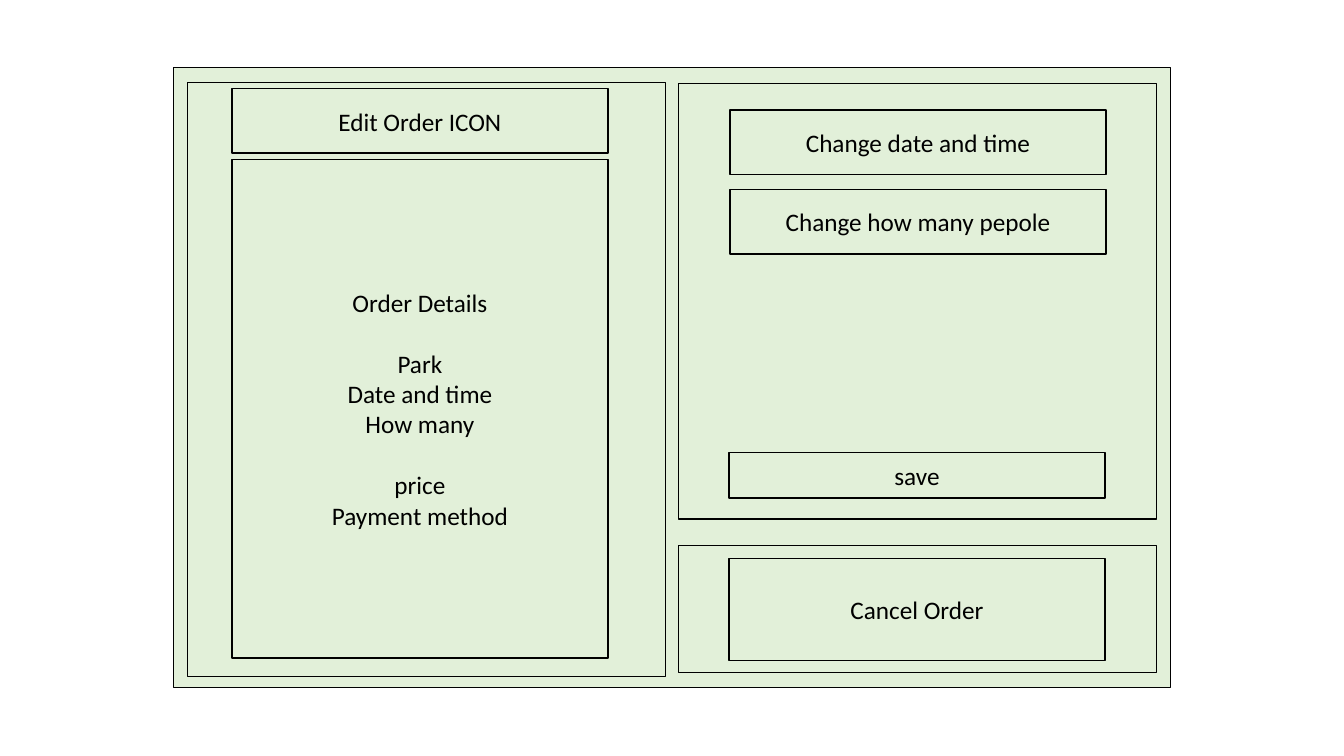
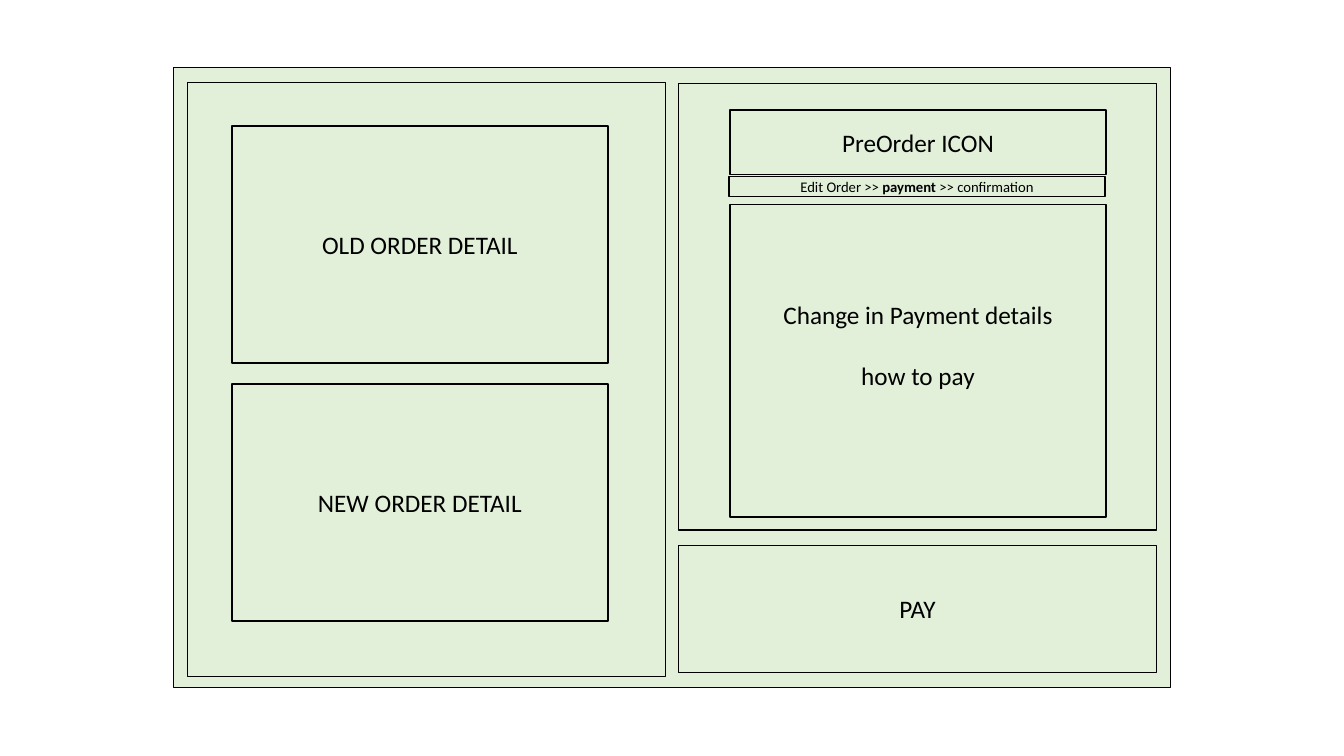
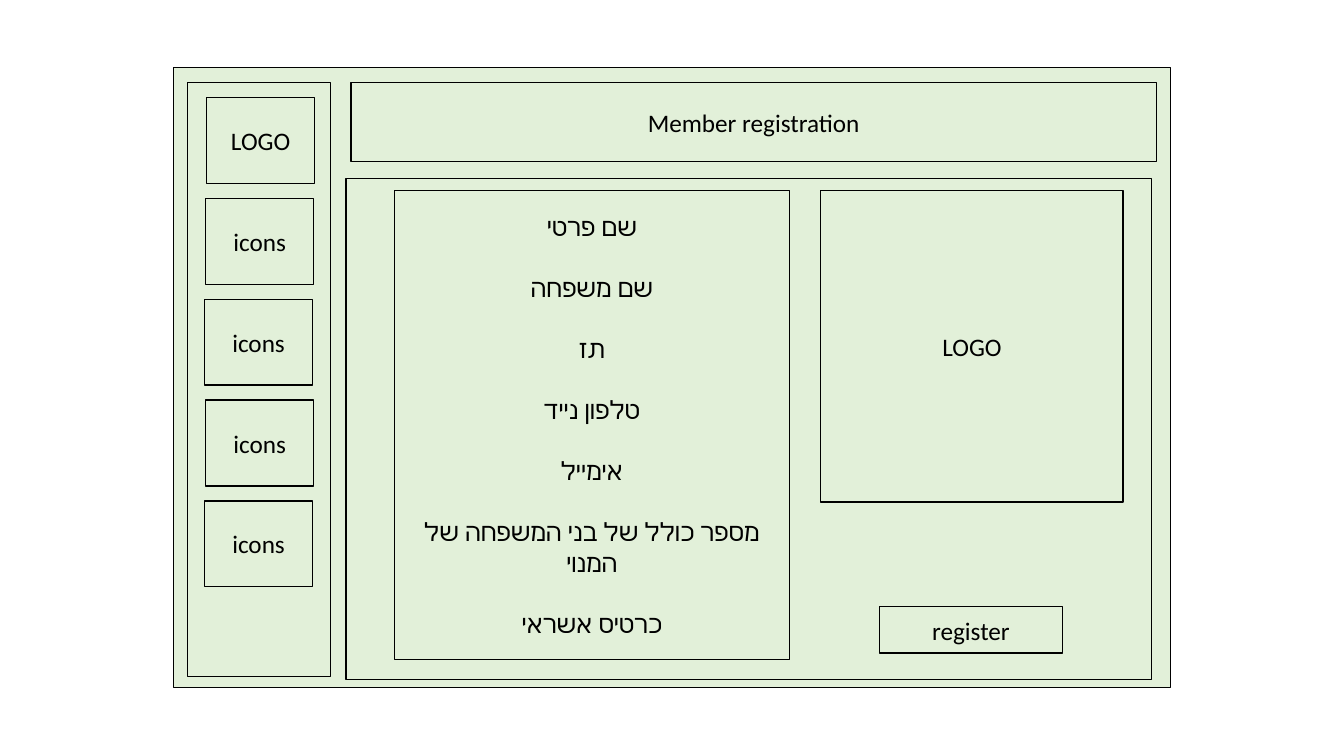
import pptx
import pptx.dml.color
import pptx.enum.shapes
import pptx.enum.text
import pptx.util

COLORS = {"panel": "E2F0D9", "ink": "000000"}
FONT = "Calibri"
LINE_HEIGHT = 22  # points, one line of 18 point text
INSET = 3.6       # points, above and below the text

deck = pptx.Presentation()
deck.slide_width = pptx.util.Inches(13.33)
deck.slide_height = pptx.util.Inches(7.5)
ROW = deck.slide_height / 75  # the grid has square cells
COLUMN = ROW


def color(name):
    return pptx.dml.color.RGBColor.from_string(COLORS[name])


def add_box(page, left, top, width, height, text="", size=18, bold="", lift=0):
    """Draw a panel; an empty line in text is a gap, bold is one word, lift is points of room below."""
    box = page.shapes.add_shape(
        pptx.enum.shapes.MSO_SHAPE.RECTANGLE,
        round(left * COLUMN), round(top * ROW), round(width * COLUMN), round(height * ROW))
    box.shadow.inherit = False
    box.fill.solid()
    box.fill.fore_color.rgb = color("panel")
    box.line.color.rgb = color("ink")
    box.line.width = pptx.util.Pt(1)
    if not text:
        return
    frame = box.text_frame
    frame.word_wrap = True
    frame.vertical_anchor = pptx.enum.text.MSO_ANCHOR.MIDDLE
    frame.margin_bottom = pptx.util.Pt(INSET + lift)
    gap = 0
    para = frame.paragraphs[0]
    for number, line in enumerate(text.split("\n")):
        if not line:
            gap = LINE_HEIGHT
            continue
        if number:
            para = frame.add_paragraph()
        para.alignment = pptx.enum.text.PP_ALIGN.CENTER
        para.space_before = pptx.util.Pt(gap)
        para._p.get_or_add_pPr().set("rtl", "1")
        gap = 0
        for part in line.partition(bold) if bold else [line]:
            span = para.add_run()
            span.text = part
            span.font.name = FONT
            span.font.size = pptx.util.Pt(size)
            span.font.bold = part == bold
            span.font.color.rgb = color("ink")


def add_page():
    """Add a slide with the window that every slide shares."""
    page = deck.slides.add_slide(deck.slide_layouts[6])
    add_box(page, 17.2, 6.7, 98.9, 61.5)
    return page


# Two-pane pages: columns for the panes and for the fields in them
PANE = 47.4
FIELD = 37.3
LEFT_PANE, RIGHT_PANE = 18.6, 67.3
LEFT_FIELD, RIGHT_FIELD = 23, 72.4
BUTTON = 6.4
FOOT = (RIGHT_PANE, 54.1, PANE, 12.6)

# Edit order
page = add_page()
add_box(page, LEFT_PANE, 8.2, PANE, 58.9)
add_box(page, RIGHT_PANE, 8.3, PANE, 43.2)
add_box(page, *FOOT)
add_box(page, LEFT_FIELD, 15.8, FIELD, 49.5,
        "Order Details\n\nPark\nDate and time\nHow many\n\nprice\nPayment method")
for row, label in enumerate(["Change date and time", "Change how many pepole"]):
    add_box(page, RIGHT_FIELD, 10.9 + row * 7.9, FIELD, BUTTON, label)
add_box(page, RIGHT_FIELD - 0.1, 55.4, FIELD, 10.1, "Cancel Order")
add_box(page, RIGHT_FIELD - 0.1, 44.9, FIELD, 4.5, "save")
add_box(page, LEFT_FIELD, 8.8, FIELD, BUTTON, "Edit Order ICON")

# Payment
page = add_page()
add_box(page, LEFT_PANE, 8.2, PANE, 58.9)
add_box(page, RIGHT_PANE, 8.3, PANE, 44.3)
for row, label in enumerate(["OLD ORDER DETAIL", "NEW ORDER DETAIL"]):
    add_box(page, LEFT_FIELD, 12.5 + row * 25.6, FIELD, 23.5, label)
add_box(page, RIGHT_FIELD, 10.9, FIELD, BUTTON, "PreOrder ICON")
add_box(page, RIGHT_FIELD, 20.3, FIELD, 31,
        "Change in Payment details\n\nhow to pay", lift=LINE_HEIGHT)
add_box(page, RIGHT_FIELD - 0.1, 17.5, FIELD, 2,
        "Edit Order >> payment >> confirmation", size=10.5, bold="payment")
add_box(page, *FOOT, "PAY")

# Member registration
page = add_page()
add_box(page, LEFT_PANE, 8.2, 14.2, 58.9)
add_box(page, 34.8, 8.2, 79.9, 7.8, "Member registration")
tile_columns = [20.5, 20.4, 20.3, 20.4, 20.3]
for row, left in enumerate(tile_columns):
    add_box(page, left, 9.7 + row * 10, 10.7, 8.5, "icons" if row else "LOGO")
add_box(page, 34.3, 17.7, 79.9, 49.7)
add_box(page, 87.2, 60.2, 18.2, 4.6, "register")
add_box(page, 81.4, 18.9, 30, 30.9, "LOGO")
member_fields = [
    "שם פרטי",
    "שם משפחה",
    "תז",
    "טלפון נייד",
    "אימייל",
    "מספר כולל של בני המשפחה של המנוי",
    "כרטיס אשראי",
]
add_box(page, 39.1, 18.9, 39.2, 46.5, "\n\n".join(member_fields))

deck.save("out.pptx")
